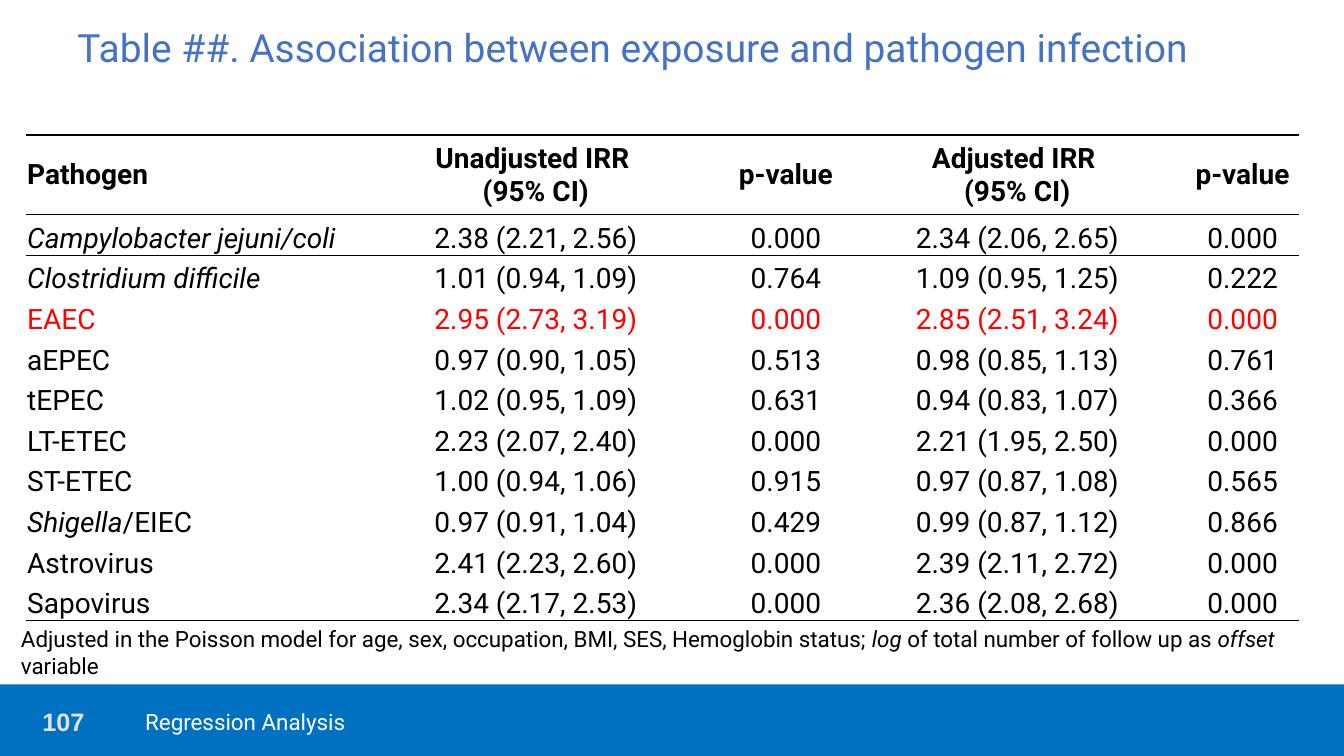
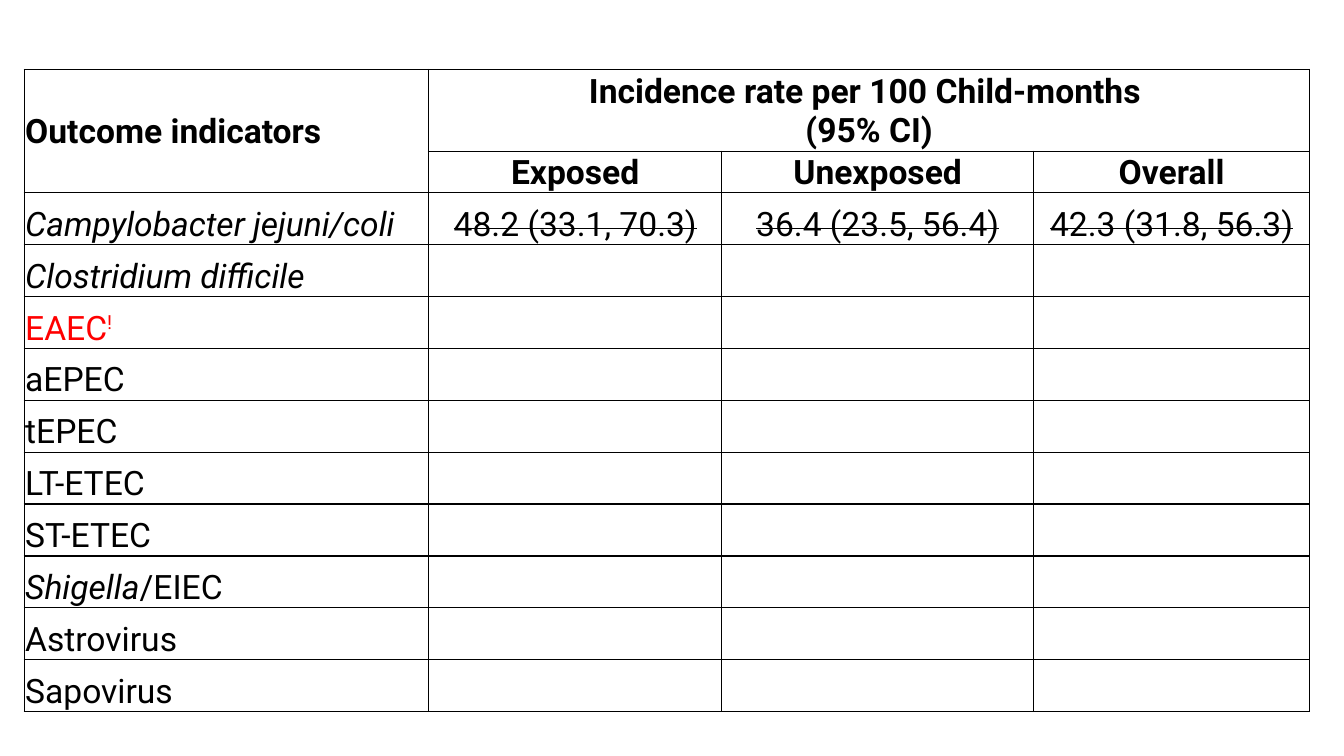
from dataclasses import dataclass, field
from typing import NamedTuple

from lxml.etree import SubElement
from pptx import Presentation
from pptx.dml.color import RGBColor
from pptx.enum.shapes import MSO_SHAPE
from pptx.enum.text import MSO_ANCHOR, PP_ALIGN
from pptx.oxml.ns import qn
from pptx.util import Inches, Pt

HUES = {
    "ink": "000000",
    "red": "FF0000",
    "band": "0070C0",
    "title": "4472C4",
    "page": "E2E2E2",
    "white": "FFFFFF",
}
FONT = "Roboto"
WIDE, HIGH = 13.33, 7.5
PLAIN_STYLE = "{2D5ABB26-0587-4C30-8999-92F81FD0307C}"


class Run(NamedTuple):
    text: str
    form: dict = {}
    marks: dict = {}


class Box(NamedTuple):
    left: float
    top: float
    width: float
    height: float


Line = list[Run]


@dataclass
class Cell:
    lines: list[Line]
    form: dict = field(default_factory=dict)
    hue: str = "ink"
    align: PP_ALIGN = PP_ALIGN.CENTER
    anchor: MSO_ANCHOR = MSO_ANCHOR.BOTTOM
    after: int = 0


@dataclass
class Grid:
    left: float
    top: float
    cols: list[float]
    heads: list[float]
    body: float
    size: int
    rows: list[list[Cell | None]]
    sides: dict[int, str]
    base: str = ""
    spans: tuple = ()


BOLD = {"bold": True}
ITAL = {"italic": True}
LEFT = PP_ALIGN.LEFT
MID = MSO_ANCHOR.MIDDLE

BUGS: list[Line] = [
    [Run("Campylobacter jejuni/coli", ITAL)],
    [Run("Clostridium difficile", ITAL)],
    [Run("EAEC")],
    [Run("aEPEC")],
    [Run("tEPEC")],
    [Run("LT-ETEC")],
    [Run("ST-ETEC")],
    [Run("Shigella", ITAL), Run("/EIEC")],
    [Run("Astrovirus")],
    [Run("Sapovirus")],
]
RED_ROW = 2

RATES = [
    ("2.38 (2.21, 2.56)", "0.000", "2.34 (2.06, 2.65)", "0.000"),
    ("1.01 (0.94, 1.09)", "0.764", "1.09 (0.95, 1.25)", "0.222"),
    ("2.95 (2.73, 3.19)", "0.000", "2.85 (2.51, 3.24)", "0.000"),
    ("0.97 (0.90, 1.05)", "0.513", "0.98 (0.85, 1.13)", "0.761"),
    ("1.02 (0.95, 1.09)", "0.631", "0.94 (0.83, 1.07)", "0.366"),
    ("2.23 (2.07, 2.40)", "0.000", "2.21 (1.95, 2.50)", "0.000"),
    ("1.00 (0.94, 1.06)", "0.915", "0.97 (0.87, 1.08)", "0.565"),
    ("0.97 (0.91, 1.04)", "0.429", "0.99 (0.87, 1.12)", "0.866"),
    ("2.41 (2.23, 2.60)", "0.000", "2.39 (2.11, 2.72)", "0.000"),
    ("2.34 (2.17, 2.53)", "0.000", "2.36 (2.08, 2.68)", "0.000"),
]
STRUCK = ("48.2 (33.1, 70.3)", "36.4 (23.5, 56.4)", "42.3 (31.8, 56.3)")


def color(name: str) -> RGBColor:
    return RGBColor.from_string(HUES[name])


def fill_line(para, line: Line, size: float, hue: str, form: dict) -> None:
    """Write the runs of one paragraph; a run's own format wins."""
    for part in line:
        run = para.add_run()
        run.text = part.text
        look = {"name": FONT, "size": Pt(size), **form, **part.form}
        for key, value in look.items():
            setattr(run.font, key, value)
        run.font.color.rgb = color(hue)
        for key, value in part.marks.items():
            run.font._element.set(key, value)


def add_text(slide, box: Box, line: Line, size: float, hue: str,
             form: dict | None = None, frame: dict | None = None):
    shape = slide.shapes.add_textbox(*map(Inches, box))
    body = shape.text_frame
    for key, value in {"word_wrap": True, **(frame or {})}.items():
        setattr(body, key, value)
    fill_line(body.paragraphs[0], line, size, hue, form or {})
    return body.paragraphs[0]


def add_foot(slide, page: str, topic: str) -> None:
    band = slide.shapes.add_shape(
        MSO_SHAPE.RECTANGLE, *map(Inches, (0, 6.79, WIDE, HIGH - 6.79)))
    band.shadow.inherit = False
    band.fill.solid()
    band.fill.fore_color.rgb = color("band")
    band.line.fill.background()
    sides = ("left", "right", "top", "bottom")
    frame = {f"margin_{side}": 0 for side in sides}
    frame["vertical_anchor"] = MID
    add_text(slide, Box(0.42, 6.98, 1.02, 0.35), [Run(page)], 18, "page",
             {"name": "Arial", **BOLD}, frame)
    add_text(slide, Box(1.44, 6.98, 8.6, 0.35), [Run(topic)], 16, "white",
             frame=frame)


def add_rules(cell, sides: str) -> None:
    """Draw thin lines on the sides named by the letters L, R, T and B."""
    props = cell._tc.get_or_add_tcPr()
    for spot, side in enumerate(s for s in "LRTB" if s in sides):
        rule = SubElement(props, qn(f"a:ln{side}"), w=str(Pt(1)))
        tint = SubElement(SubElement(rule, qn("a:solidFill")),
                          qn("a:srgbClr"))
        tint.set("val", HUES["ink"])
        props.insert(spot, rule)


def fill_cell(cell, item: Cell, size: int) -> None:
    look = {
        "margin_left": Inches(0.01),
        "margin_right": Inches(0.01),
        "margin_top": Inches(0.01),
        "margin_bottom": 0,
        "vertical_anchor": item.anchor,
    }
    for key, value in look.items():
        setattr(cell, key, value)
    body = cell.text_frame
    for spot, line in enumerate(item.lines):
        para = body.add_paragraph() if spot else body.paragraphs[0]
        para.alignment = item.align
        if item.after:
            para.space_after = Pt(item.after)
        fill_line(para, line, size, item.hue, item.form)


def add_grid(slide, grid: Grid) -> None:
    count = len(grid.rows) - len(grid.heads)
    highs = grid.heads + [grid.body / count] * count
    box = Box(grid.left, grid.top, sum(grid.cols), sum(highs))
    frame = slide.shapes.add_table(len(highs), len(grid.cols),
                                   *map(Inches, box))
    table = frame.table
    table.first_row = table.horz_banding = False
    table._tbl.tblPr.find(qn("a:tableStyleId")).text = PLAIN_STYLE
    for col, width in zip(table.columns, grid.cols):
        col.width = Inches(width)
    for row, high in zip(table.rows, highs):
        row.height = Inches(high)
    for first, last in grid.spans:
        table.cell(*first).merge(table.cell(*last))
    for r, items in enumerate(grid.rows):
        for c, item in enumerate(items):
            cell = table.cell(r, c)
            cell.fill.background()
            add_rules(cell, grid.sides.get(r, grid.base))
            if item:
                fill_cell(cell, item, grid.size)


def head(*texts: str, align: PP_ALIGN = PP_ALIGN.CENTER,
         anchor: MSO_ANCHOR = MID) -> Cell:
    return Cell([[Run(text)] for text in texts], BOLD,
                align=align, anchor=anchor)


def hue_of(row: int) -> str:
    return "red" if row == RED_ROW else "ink"


def risk_grid() -> Grid:
    rows = [[
        head("Pathogen", align=LEFT),
        head("Unadjusted IRR ", "(95% CI)"),
        head("p-value"),
        head("Adjusted IRR ", "(95% CI)"),
        head("p-value"),
    ]]
    for spot, (bug, rates) in enumerate(zip(BUGS, RATES)):
        hue = hue_of(spot)
        rows.append([Cell([bug], hue=hue, align=LEFT)]
                    + [Cell([[Run(rate)]], hue=hue) for rate in rates])
    return Grid(0.26, 1.34, [3.19, 3.73, 1.23, 3.36, 1.11], [0.79], 4.03, 20,
                rows, {0: "TB", 1: "T", len(BUGS): "B"})


def rate_grid() -> Grid:
    low = MSO_ANCHOR.BOTTOM
    groups = ("Exposed", "Unexposed", "Overall")
    rows = [
        [head("Outcome indicators", align=LEFT),
         head("Incidence rate per 100 Child-months ", "(95% CI)", anchor=low),
         None, None],
        [None] + [head(group, anchor=low) for group in groups],
    ]
    for spot, bug in enumerate(BUGS):
        note = [Run("!", marks={"baseline": "30000"})]
        line = bug + note if spot == RED_ROW else bug
        rows.append([Cell([line], hue=hue_of(spot), align=LEFT)]
                    + [None] * len(groups))
    rows[2][1:] = [Cell([[Run(text, marks={"strike": "sngStrike"})]], after=6)
                   for text in STRUCK]
    return Grid(0.24, 0.69, [4.01, 2.91, 3.09, 2.74], [0.79, 0.4], 5.15, 24,
                rows, {}, "LRTB", (((0, 0), (1, 0)), ((0, 1), (0, 3))))


def main() -> None:
    deck = Presentation()
    deck.slide_width, deck.slide_height = Inches(WIDE), Inches(HIGH)
    blank = deck.slide_layouts[6]

    risk = deck.slides.add_slide(blank)
    add_foot(risk, "107", "Regression Analysis")
    add_grid(risk, risk_grid())
    add_text(risk, Box(0.11, 6.15, 12.87, 0.64), [
        Run("Adjusted in the Poisson model for age, sex, occupation, BMI, "
            "SES, Hemoglobin status; "),
        Run("log", ITAL),
        Run(" of total number of follow up as "),
        Run("offset", ITAL),
        Run(" variable"),
    ], 16, "ink")
    title = add_text(
        risk, Box(0.67, 0.24, 11.62, 0.63),
        [Run("Table ##. Association between exposure and pathogen infection")],
        27.8, "title")
    title.line_spacing = 0.9

    add_grid(deck.slides.add_slide(blank), rate_grid())
    deck.save("out.pptx")


if __name__ == "__main__":
    main()
